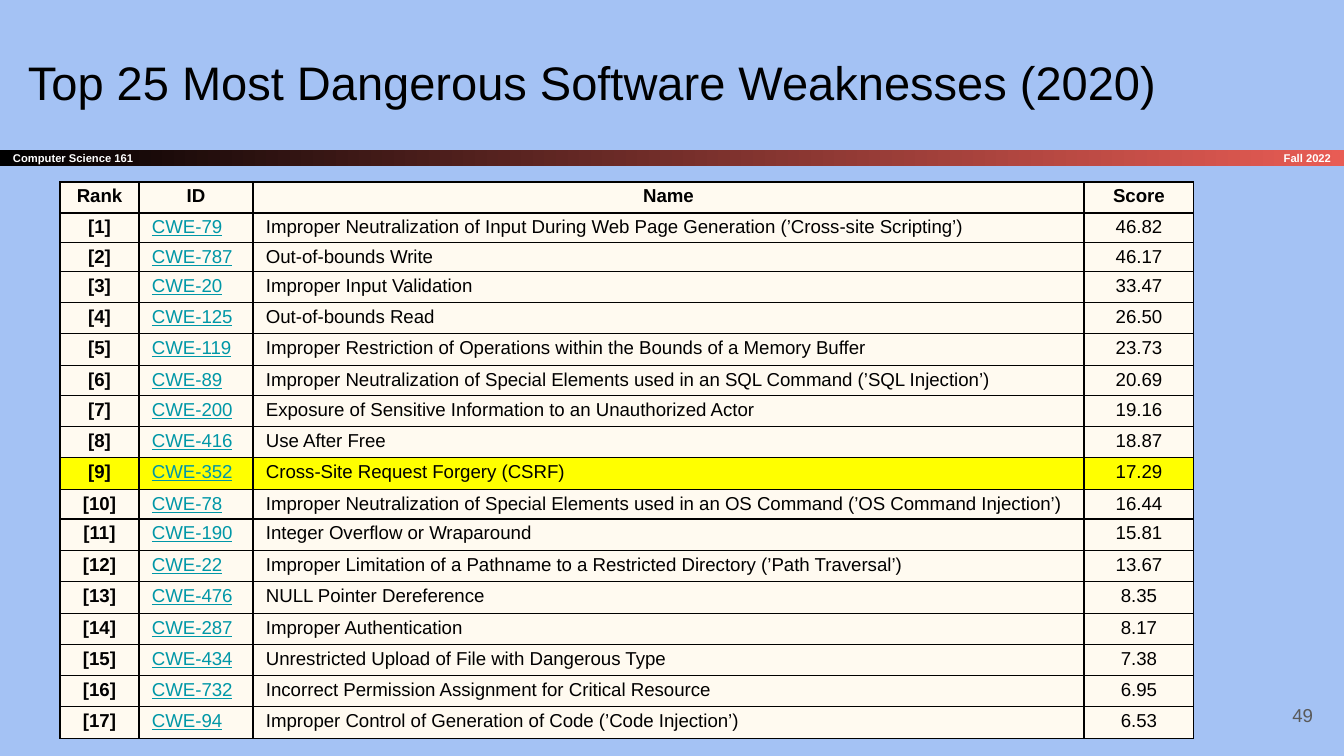
import lxml.etree
import pptx
import pptx.dml.color
import pptx.enum.shapes
import pptx.enum.text
import pptx.oxml.ns
import pptx.util

PX = 914400 / 134.4
LEFT = pptx.enum.text.PP_ALIGN.LEFT
CENTER = pptx.enum.text.PP_ALIGN.CENTER
RIGHT = pptx.enum.text.PP_ALIGN.RIGHT
TOP = pptx.enum.text.MSO_ANCHOR.TOP
MIDDLE = pptx.enum.text.MSO_ANCHOR.MIDDLE
COLORS = {
    "background": "A4C2F4",
    "black": "000000",
    "white": "FFFFFF",
    "coral": "E85C54",
    "gray": "595959",
    "link": "0097A7",
    "cream": "FFFAF0",
    "highlight": "FFFF00",
}


def px(value):
    return pptx.util.Emu(round(value * PX))


def write(frame, text, size, color, alignment=LEFT, bold=False, underline=False):
    paragraph = frame.paragraphs[0]
    paragraph.alignment = alignment
    run = paragraph.add_run()
    run.text = text
    values = {"name": "Arial", "size": pptx.util.Pt(size), "bold": bold, "underline": underline}
    for name, value in values.items():
        setattr(run.font, name, value)
    run.font.color.rgb = pptx.dml.color.RGBColor.from_string(COLORS[color])


presentation = pptx.Presentation()
presentation.slide_width = px(1344)
presentation.slide_height = px(756)
slide = presentation.slides.add_slide(presentation.slide_layouts[6])
slide.background.fill.solid()
slide.background.fill.fore_color.rgb = pptx.dml.color.RGBColor.from_string(COLORS["background"])

bar = slide.shapes.add_shape(
    pptx.enum.shapes.MSO_SHAPE.RECTANGLE, px(0), px(150), px(1344), px(16)
)
bar.shadow.inherit = False
bar.line.fill.background()
bar.fill.gradient()
bar.fill.gradient_angle = 0
for stop, color in zip(bar.fill.gradient_stops, ("black", "coral")):
    stop.color.rgb = pptx.dml.color.RGBColor.from_string(COLORS[color])

term = slide.shapes.add_textbox(px(1121), px(150), px(223), px(16))
title = slide.shapes.add_textbox(px(15), px(40), px(1253), px(85))
number = slide.shapes.add_textbox(px(1246), px(686), px(80), px(58))

labels = [
    (bar, "Computer Science 161", 6, "white", LEFT, True, MIDDLE, 0),
    (term, "Fall 2022", 6, "white", RIGHT, True, MIDDLE, 0),
    (title, "Top 25 Most Dangerous Software Weaknesses (2020)", 25.2, "black", LEFT, False, TOP, 13),
    (number, "49", 10, "gray", RIGHT, False, MIDDLE, 13),
]
for shape, text, size, color, alignment, bold, anchor, inset in labels:
    values = {
        "word_wrap": True,
        "vertical_anchor": anchor,
        "margin_left": px(13),
        "margin_right": px(13),
        "margin_top": px(inset),
        "margin_bottom": px(inset),
    }
    for name, value in values.items():
        setattr(shape.text_frame, name, value)
    write(shape.text_frame, text, size, color, alignment, bold)

weaknesses = [
    ("CWE-79", "Improper Neutralization of Input During Web Page Generation (’Cross-site Scripting’)", "46.82"),
    ("CWE-787", "Out-of-bounds Write", "46.17"),
    ("CWE-20", "Improper Input Validation", "33.47"),
    ("CWE-125", "Out-of-bounds Read", "26.50"),
    ("CWE-119", "Improper Restriction of Operations within the Bounds of a Memory Buffer", "23.73"),
    ("CWE-89", "Improper Neutralization of Special Elements used in an SQL Command (’SQL Injection’)", "20.69"),
    ("CWE-200", "Exposure of Sensitive Information to an Unauthorized Actor", "19.16"),
    ("CWE-416", "Use After Free", "18.87"),
    ("CWE-352", "Cross-Site Request Forgery (CSRF)", "17.29"),
    ("CWE-78", "Improper Neutralization of Special Elements used in an OS Command (’OS Command Injection’)", "16.44"),
    ("CWE-190", "Integer Overflow or Wraparound", "15.81"),
    ("CWE-22", "Improper Limitation of a Pathname to a Restricted Directory (’Path Traversal’)", "13.67"),
    ("CWE-476", "NULL Pointer Dereference", "8.35"),
    ("CWE-287", "Improper Authentication", "8.17"),
    ("CWE-434", "Unrestricted Upload of File with Dangerous Type", "7.38"),
    ("CWE-732", "Incorrect Permission Assignment for Critical Resource", "6.95"),
    ("CWE-94", "Improper Control of Generation of Code (’Code Injection’)", "6.53"),
]
rows = [("Rank", "ID", "Name", "Score")]
rows += [(f"[{rank}]", *weakness) for rank, weakness in enumerate(weaknesses, 1)]
column_widths = [79, 114, 831, 110]
row_heights = [31, 29, 29, 31, 31, 32, 30, 31, 31, 32, 29, 32, 31, 32, 31, 31, 31, 32]
highlighted_rank = 9

table = slide.shapes.add_table(
    len(rows), len(column_widths), px(60), px(182), px(sum(column_widths)), px(sum(row_heights))
).table
for column, width in zip(table.columns, column_widths):
    column.width = px(width)
for row, height in zip(table.rows, row_heights):
    row.height = px(height)

cell_format = {
    "margin_left": px(13),
    "margin_right": px(13),
    "margin_top": px(4),
    "margin_bottom": px(3),
    "vertical_anchor": TOP,
}
for row_index, row in enumerate(rows):
    for column_index, text in enumerate(row):
        cell = table.cell(row_index, column_index)
        for name, value in cell_format.items():
            setattr(cell, name, value)
        properties = cell._tc.get_or_add_tcPr()
        for side in ("lnL", "lnR", "lnT", "lnB"):
            border = lxml.etree.SubElement(
                properties, pptx.oxml.ns.qn(f"a:{side}"), w=str(pptx.util.Pt(0.75))
            )
            fill = lxml.etree.SubElement(border, pptx.oxml.ns.qn("a:solidFill"))
            lxml.etree.SubElement(fill, pptx.oxml.ns.qn("a:srgbClr"), val=COLORS["black"])
        cell.fill.solid()
        cell_color = "highlight" if row_index == highlighted_rank else "cream"
        cell.fill.fore_color.rgb = pptx.dml.color.RGBColor.from_string(COLORS[cell_color])
        is_header = row_index == 0
        is_link = column_index == 1 and not is_header
        write(
            cell.text_frame,
            text,
            10,
            "link" if is_link else "black",
            CENTER if is_header or column_index in (0, 3) else LEFT,
            is_header or column_index == 0,
            is_link,
        )

presentation.save("out.pptx")
